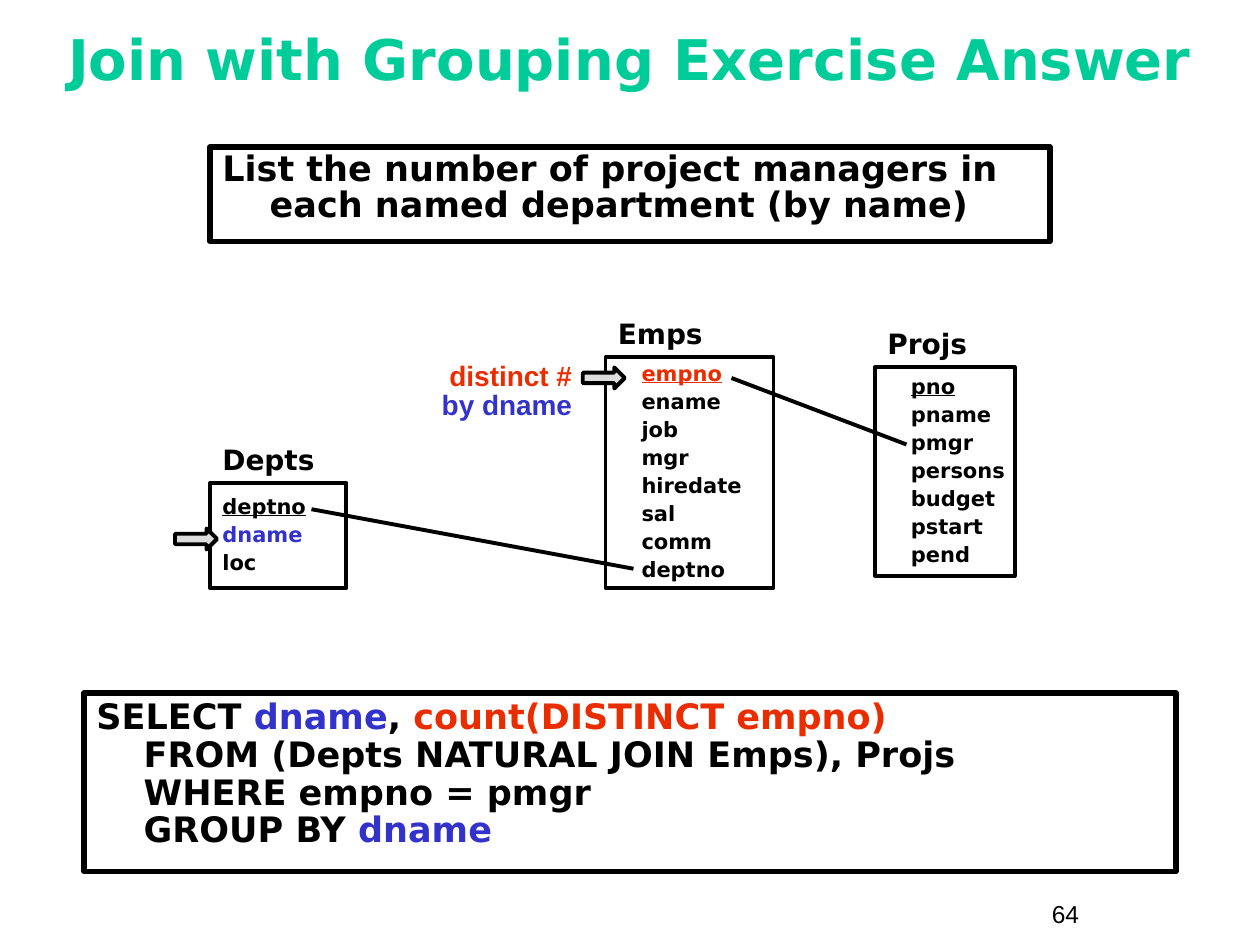
from lxml import etree
from pptx import Presentation
from pptx import util as u
from pptx.dml.color import RGBColor
from pptx.enum import shapes, text
from pptx.oxml import ns

BLACK = RGBColor(0x00, 0x00, 0x00)
GREEN = RGBColor(0x00, 0xCC, 0x99)
BLUE = RGBColor(0x33, 0x33, 0xCC)
RED = RGBColor(0xEA, 0x2D, 0x00)
GREY = RGBColor(0xDD, 0xDD, 0xDD)


class SlideBuilder:
    """Holds the style and the current slide; all lengths are points."""

    font = "DejaVu Sans"
    outline = 2.25
    label_rise = 24.5

    def __init__(self, deck):
        self.slide = deck.slides.add_slide(deck.slide_layouts[5])

    def frame(self, box, anchor=text.MSO_ANCHOR.TOP):
        frame = box.text_frame
        frame.word_wrap = True
        frame.auto_size = text.MSO_AUTO_SIZE.NONE
        frame.vertical_anchor = anchor
        frame.margin_left = frame.margin_right = u.Pt(7.2)
        frame.margin_top = frame.margin_bottom = u.Pt(3.6)
        return frame

    def fill_para(self, para, spans, size, font=None, bold=True, spacing=0.9,
                  align=text.PP_ALIGN.LEFT, hanging=0, indent=0):
        """Spans are (wording, colour) pairs; a line feed is a line break."""
        para.alignment = align
        para.line_spacing = spacing
        properties = para._p.get_or_add_pPr()
        properties.set("marL", str(u.Pt(hanging or indent)))
        properties.set("indent", str(u.Pt(-hanging)))
        for wording, colour in spans:
            for number, line in enumerate(wording.split("\n")):
                if number:
                    para.add_line_break()
                if line:
                    span = para.add_run()
                    span.text = line
                    span.font.name = font or self.font
                    span.font.size = u.Pt(size)
                    span.font.bold = bold
                    span.font.color.rgb = colour

    def title(self, wording, *place):
        box = self.slide.shapes.title
        box.left, box.top, box.width, box.height = map(u.Pt, place)
        frame = self.frame(box, text.MSO_ANCHOR.MIDDLE)
        self.fill_para(frame.paragraphs[0], [(wording, GREEN)], 32,
                       spacing=1.0, align=text.PP_ALIGN.CENTER)

    def text(self, spans, place, size, **style):
        box = self.slide.shapes.add_textbox(*map(u.Pt, place))
        self.fill_para(self.frame(box).paragraphs[0], spans, size, **style)

    def shape(self, kind, place, weight, fill=None):
        box = self.slide.shapes.add_shape(kind, *map(u.Pt, place))
        box.shadow.inherit = False
        if fill is None:
            box.fill.background()
        else:
            box.fill.solid()
            box.fill.fore_color.rgb = fill
        box.line.color.rgb = BLACK
        box.line.width = u.Pt(weight)
        return box

    def panel(self, spans, place, spacing):
        box = self.shape(shapes.MSO_SHAPE.RECTANGLE, place, 3)
        self.fill_para(self.frame(box).paragraphs[0], spans, 20,
                       spacing=spacing, hanging=27)

    def entity(self, name, columns, place, indent=0, colours=None):
        """A named table box; its first column is the underlined key."""
        left, top = place[:2]
        self.text([(name, BLACK)], (left, top - self.label_rise, 98, 24.5), 16)
        box = self.shape(shapes.MSO_SHAPE.RECTANGLE, place, self.outline)
        frame = self.frame(box, text.MSO_ANCHOR.MIDDLE)
        frame.margin_right = 0
        for number, column in enumerate(columns):
            para = frame.add_paragraph() if number else frame.paragraphs[0]
            if number:
                para.space_before = u.Pt(3)
            colour = (colours or {}).get(column, BLACK)
            self.fill_para(para, [(column, colour)], 12, indent=indent)
        frame.paragraphs[0].runs[0].font.underline = True

    def link(self, *ends):
        line = self.slide.shapes.add_connector(
            shapes.MSO_CONNECTOR.STRAIGHT, *map(u.Pt, ends))
        line.line.color.rgb = BLACK
        line.line.width = u.Pt(self.outline)
        etree.SubElement(line._element.spPr, ns.qn("a:effectLst"))

    def arrow(self, left, top):
        self.shape(shapes.MSO_SHAPE.RIGHT_ARROW, (left, top, 24, 12),
                   self.outline, GREY)


def main():
    deck = Presentation()
    deck.slide_width, deck.slide_height = u.Pt(720), u.Pt(540)
    page = SlideBuilder(deck)

    # Title and question
    page.title("Join with Grouping Exercise Answer", 24, 12, 672, 42)
    page.panel([("List the number of project managers in each named "
                 "department (by name)", BLACK)], (120, 84, 480, 54), 0.85)

    # Tables
    page.entity("Emps", ["empno", "ename", "job", "mgr", "hiredate", "sal",
                         "comm", "deptno"],
                (346, 204, 96, 132), indent=13.5, colours={"empno": RED})
    page.entity("Projs", ["pno", "pname", "pmgr", "persons", "budget",
                          "pstart", "pend"],
                (500, 210, 80, 119), indent=13.5)
    page.entity("Depts", ["deptno", "dname", "loc"], (120, 276, 78, 60),
                colours={"dname": BLUE})

    # Joins between the tables
    page.link(418, 216, 518, 254)
    page.link(178, 291, 362, 325)

    # Markers for the counted and grouping columns
    page.arrow(100, 302)
    page.arrow(333, 210)
    page.text([("distinct #\n", RED), ("by dname", BLUE)],
              (233, 204.5, 101, 40), 16, font="Arial", spacing=0.85,
              align=text.PP_ALIGN.RIGHT)

    # Query
    page.panel([("SELECT ", BLACK), ("dname", BLUE), (", ", BLACK),
                ("count(DISTINCT empno) \n", RED),
                ("FROM (Depts NATURAL JOIN Emps), Projs \n"
                 "WHERE empno = pmgr \nGROUP BY ", BLACK),
                ("dname", BLUE)], (48, 396, 624, 102), 0.9)

    # Page number
    page.text([("64", BLACK)], (594, 510, 66, 24.5), 14, font="Arial",
              bold=False, spacing=1.0)

    deck.save("out.pptx")


if __name__ == "__main__":
    main()
